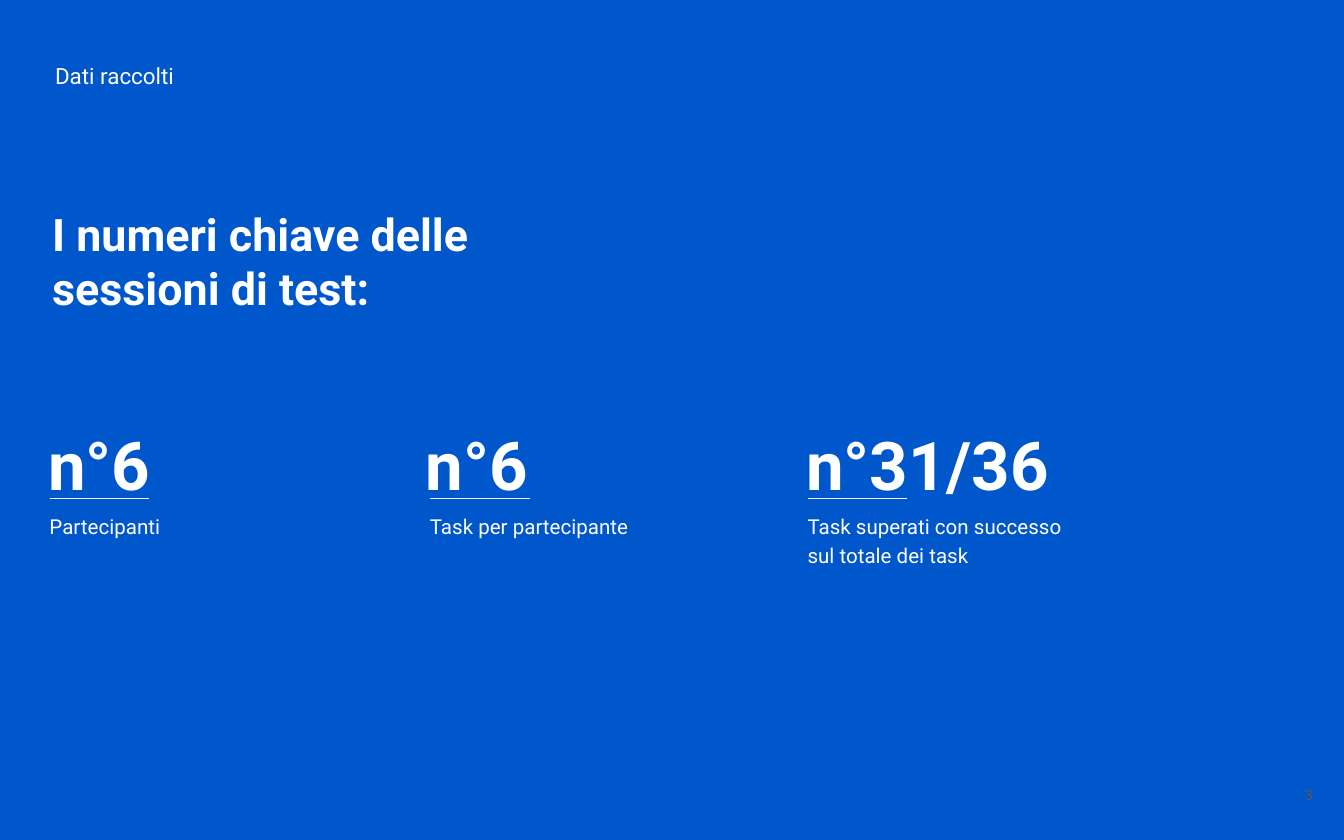
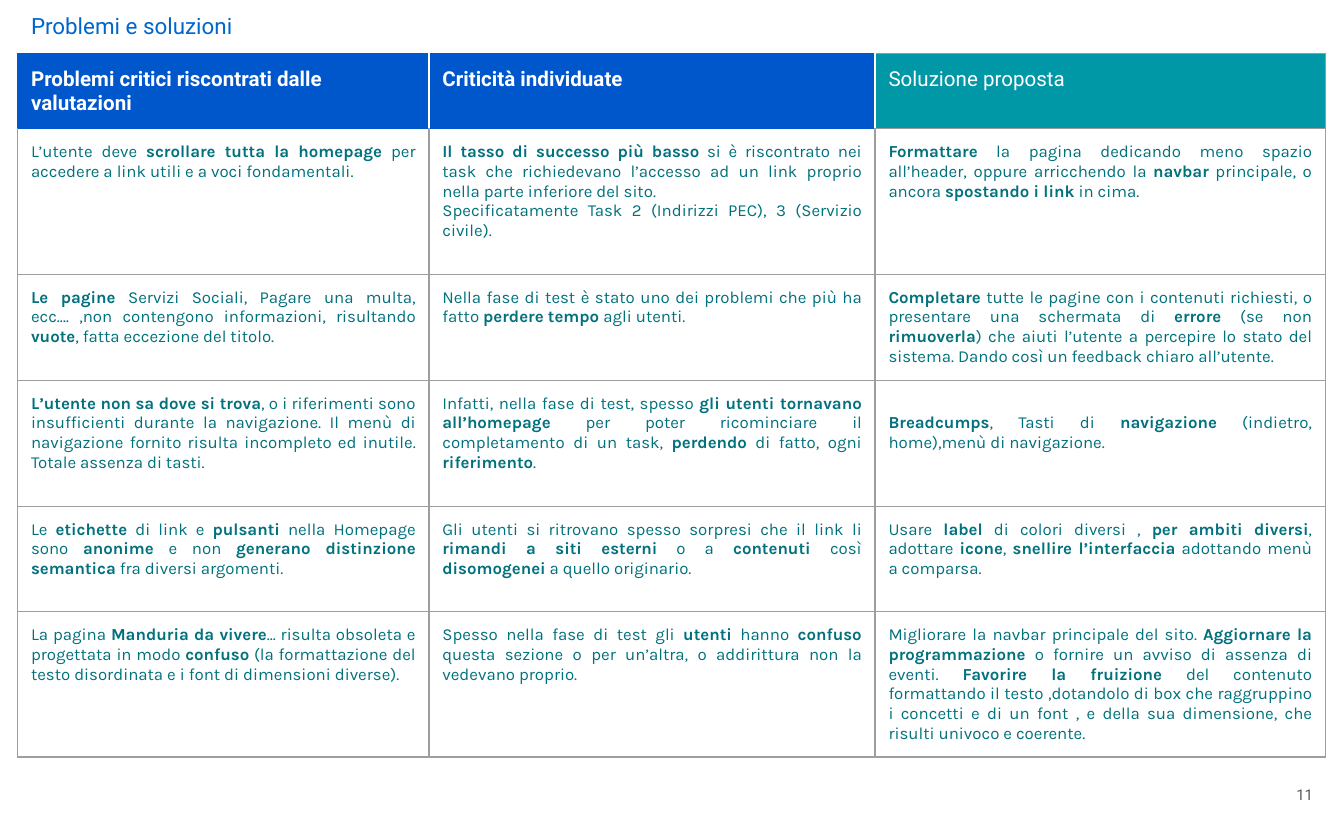
"""Builds two usability-test slides: key numbers, and problems with solutions."""
from dataclasses import dataclass

from lxml import etree
from pptx import Presentation
from pptx.dml.color import RGBColor
from pptx.enum import shapes, text
from pptx.oxml.ns import qn
from pptx.util import Pt


@dataclass(frozen=True)
class Theme:
    """Colours, fonts and type sizes of the deck."""
    blue: str = "0056CB"
    link: str = "0066CC"
    teal: str = "0097A7"
    ink: str = "00717D"
    white: str = "FFFFFF"
    grey: str = "595959"
    rule: str = "9E9E9E"
    edge: str = "999999"
    head: str = "Roboto"
    body: str = "Karla"
    page: int = 8
    cell: int = 9
    label: int = 11
    title: int = 12
    lead: int = 24
    figure: int = 36
    inset: float = 7.2
    stroke: float = 0.75


T = Theme()
SIZE = (720, 450)

NUMBERS = {
    "title": "Dati raccolti",
    "lead": "I numeri chiave delle\nsessioni di test:",
    "page": "3",
    "stats": [
        ("n°6", "Partecipanti", 18.7, 26.6),
        ("n°6", "Task per partecipante", 221, 230.4),
        ("n°31/36", "Task superati con successo\nsul totale dei task", 424.8, 432.7),
    ],
}

PROBLEMS = {
    "title": "Problemi e soluzioni",
    "page": "11",
    "columns": [220.4, 239, 241.2],
    "rows": [40.2, 78, 56.5, 67.5, 56.5, 77.7],
    "header": ["**Problemi critici riscontrati dalle valutazioni**",
               "**Criticità individuate**", "Soluzione proposta"],
    "body": [
        ["L’utente deve **scrollare tutta la homepage **per accedere a link utili e a voci "
         "fondamentali.",
         "**Il tasso di successo più basso **si è riscontrato nei task che richiedevano "
         "l’accesso ad un link proprio nella parte inferiore del sito.\n"
         "Specificatamente Task 2 (Indirizzi PEC), 3 (Servizio civile).",
         "**Formattare** la pagina dedicando meno spazio all’header, oppure arricchendo la "
         "**navbar** principale, o ancora **spostando i link **in cima."],
        ["**Le pagine **Servizi Sociali, Pagare una multa, ecc.… ,non contengono "
         "informazioni, risultando **vuote**, fatta eccezione del titolo.",
         "Nella fase di test è stato uno dei problemi che più ha fatto **perdere tempo "
         "**agli utenti.",
         "**Completare** tutte le pagine con i contenuti richiesti, o presentare una "
         "schermata di **errore** (se non **rimuoverla**) che aiuti l’utente a percepire lo "
         "stato del sistema. Dando così un feedback chiaro all’utente."],
        ["**L’utente non sa dove si trova**, o i riferimenti sono insufficienti durante la "
         "navigazione. Il menù di navigazione fornito risulta incompleto ed inutile. "
         "Totale assenza di tasti.",
         "Infatti, nella fase di test, spesso **gli utenti tornavano all’homepage** per "
         "poter ricominciare il completamento di un task, **perdendo** di fatto, ogni "
         "**riferimento**.",
         "**Breadcumps**, Tasti di **navigazione** (indietro, home),menù di navigazione."],
        ["Le **etichette** di link e **pulsanti** nella Homepage sono **anonime** e non "
         "**generano distinzione semantica** fra diversi argomenti.",
         "Gli utenti si ritrovano spesso sorpresi che il link li **rimandi a siti esterni "
         "**o a **contenuti **così **disomogenei** a quello originario.",
         "Usare **label** di colori diversi , **per ambiti diversi**, adottare **icone**, "
         "**snellire l’interfaccia** adottando menù a comparsa."],
        ["La pagina **Manduria da vivere**... risulta obsoleta e progettata in modo "
         "**confuso** (la formattazione del testo disordinata e i font di dimensioni "
         "diverse).",
         "Spesso nella fase di test gli **utenti** hanno **confuso** questa sezione o per "
         "un’altra, o addirittura non la vedevano proprio.",
         "Migliorare la navbar principale del sito. **Aggiornare la programmazione **o "
         "fornire un avviso di assenza di eventi. **Favorire la fruizione **del contenuto "
         "formattando il testo ,dotandolo di box che raggruppino i concetti e di un font , "
         "e della sua dimensione, che risulti univoco e coerente."],
    ],
    "lowered": (3, 2, 10.6),
}


def rgb(code):
    """Turns a hex code into a colour."""
    return RGBColor.from_string(code)


def write(tf, words, size, color=T.white, font=T.head, bold=False, align="LEFT", spacing=None):
    """Fills a text frame; line breaks start paragraphs and ** toggles bold."""
    for i, line in enumerate(words.split("\n")):
        p = tf.add_paragraph() if i else tf.paragraphs[0]
        p.alignment = getattr(text.PP_ALIGN, align)
        p.line_spacing = spacing
        for j, part in enumerate(line.split("**")):
            if part:
                r = p.add_run()
                r.text = part
                r.font.name, r.font.size = font, Pt(size)
                r.font.bold = bold or j % 2 == 1
                r.font.color.rgb = rgb(color)


def set_margins(target, top=T.inset):
    """Gives a text frame or cell the shared insets."""
    target.margin_left = target.margin_right = target.margin_bottom = Pt(T.inset)
    target.margin_top = Pt(top)


def frame(sp, middle=False):
    """Prepares the text frame of a shape."""
    tf = sp.text_frame
    tf.word_wrap = True
    tf.auto_size = text.MSO_AUTO_SIZE.NONE
    tf.vertical_anchor = text.MSO_ANCHOR.MIDDLE if middle else text.MSO_ANCHOR.TOP
    set_margins(tf)
    return tf


def add_text(s, box, words, size, middle=False, **fmt):
    """Adds a text box."""
    sp = s.shapes.add_textbox(*map(Pt, box))
    write(frame(sp, middle), words, size, **fmt)


def add_slide(prs, content, background, title_at, title_color):
    """Adds a slide with background, title and page number."""
    s = prs.slides.add_slide(prs.slide_layouts[5])
    s.background.fill.solid()
    s.background.fill.fore_color.rgb = rgb(background)
    sp = s.shapes.title
    sp.left, sp.top, sp.width, sp.height = map(Pt, (*title_at, 305.3, 24.5))
    write(frame(sp, True), content["title"], T.title, color=title_color)
    add_text(s, (667.4, 408.2, 43.2, 34.6), content["page"], T.page, middle=True,
             color=T.grey, align="RIGHT")
    return s


def add_rule(s, x, y, width):
    """Draws a horizontal white line."""
    c = s.shapes.add_connector(shapes.MSO_CONNECTOR.STRAIGHT, Pt(x), Pt(y), Pt(x + width), Pt(y))
    c.line.color.rgb, c.line.width = rgb(T.white), Pt(T.stroke)
    etree.SubElement(c._element.spPr, qn("a:effectLst"))


def set_borders(cell, colors):
    """Colours the left, right, top and bottom borders of a cell."""
    tc_pr = cell._tc.get_or_add_tcPr()
    for i, (side, color) in enumerate(zip("LRTB", colors)):
        ln = etree.Element(qn(f"a:ln{side}"), w=str(Pt(T.stroke)))
        fill = etree.SubElement(ln, qn("a:solidFill"))
        etree.SubElement(fill, qn("a:srgbClr"), val=color)
        tc_pr.insert(i, ln)


def build_numbers(prs):
    """Builds the key numbers slide."""
    s = add_slide(prs, NUMBERS, T.blue, (22.3, 28.1), T.white)
    add_text(s, (20.9, 103.7, 352.8, 69.1), NUMBERS["lead"], T.lead, bold=True)
    for figure, label, figure_x, rule_x in NUMBERS["stats"]:
        add_text(s, (figure_x, 213.1, 160, 45.4), figure, T.figure, bold=True, spacing=1.15)
        add_rule(s, rule_x, 267.1, 53.3)
        add_text(s, (rule_x - T.inset, 266.4, 167, 105.1), label, T.label, spacing=1.15)


def build_problems(prs):
    """Builds the problems and solutions table slide."""
    s = add_slide(prs, PROBLEMS, T.white, (9.4, 1.4), T.link)
    widths, heights = PROBLEMS["columns"], PROBLEMS["rows"]
    table = s.shapes.add_table(len(heights), len(widths), Pt(9.4), Pt(28.8),
                               Pt(sum(widths)), Pt(sum(heights))).table
    table.first_row = table.horz_banding = False
    for col, width in zip(table.columns, widths):
        col.width = Pt(width)
    for row, height in zip(table.rows, heights):
        row.height = Pt(height)

    head_fills = [T.blue, T.blue, T.teal]
    head_borders = [(T.blue, T.white, T.blue, T.blue), (T.white, T.white, T.blue, T.blue),
                    (T.white, T.edge, T.edge, T.edge)]
    for c, words in enumerate(PROBLEMS["header"]):
        cell = table.cell(0, c)
        set_margins(cell)
        cell.fill.solid()
        cell.fill.fore_color.rgb = rgb(head_fills[c])
        set_borders(cell, head_borders[c])
        write(cell.text_frame, words, T.label)

    low_row, low_col, drop = PROBLEMS["lowered"]
    for r, row in enumerate(PROBLEMS["body"], 1):
        for c, words in enumerate(row):
            cell = table.cell(r, c)
            set_margins(cell, T.inset + (drop if (r, c) == (low_row, low_col) else 0))
            cell.fill.background()
            top = head_borders[c][3] if r == 1 else T.rule
            set_borders(cell, (T.rule, T.rule, top, T.rule))
            write(cell.text_frame, words, T.cell, color=T.ink, font=T.body, align="JUSTIFY")


def main():
    """Builds and saves the deck."""
    prs = Presentation()
    prs.slide_width, prs.slide_height = map(Pt, SIZE)
    build_numbers(prs)
    build_problems(prs)
    prs.save("out.pptx")


if __name__ == "__main__":
    main()
